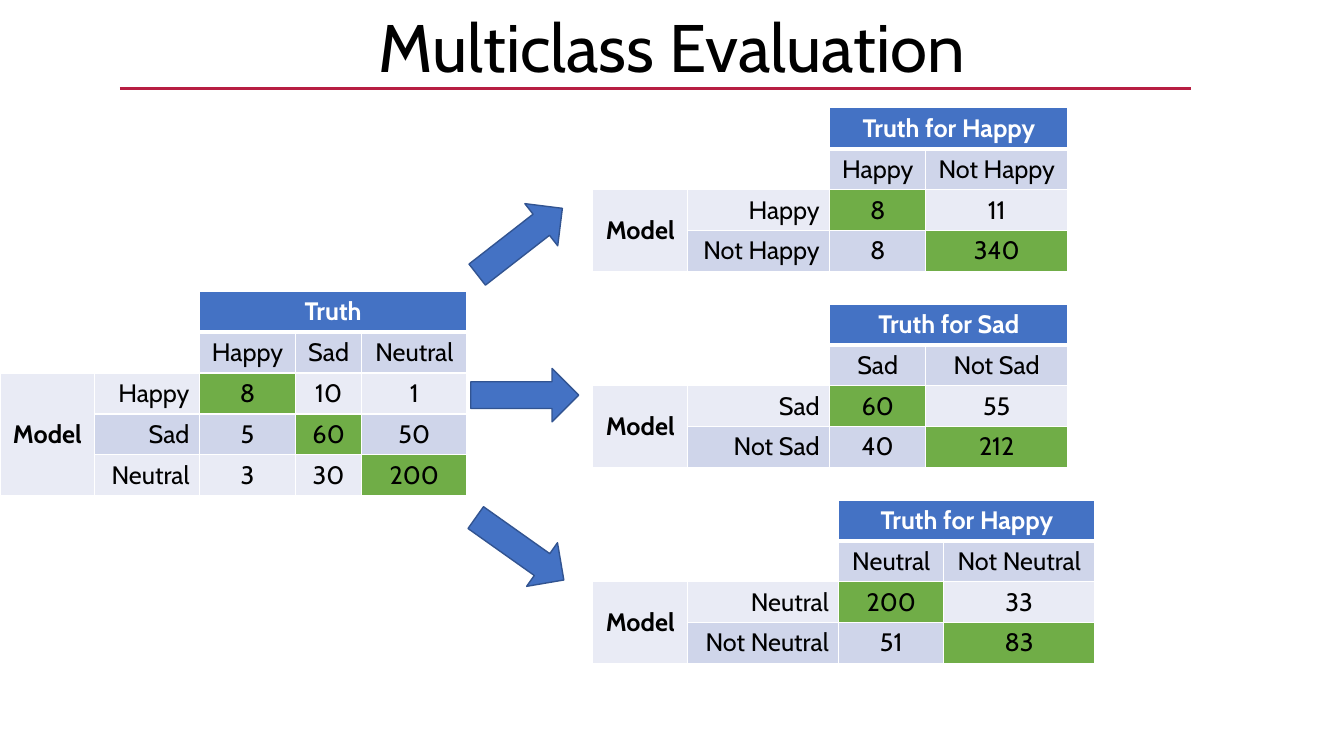
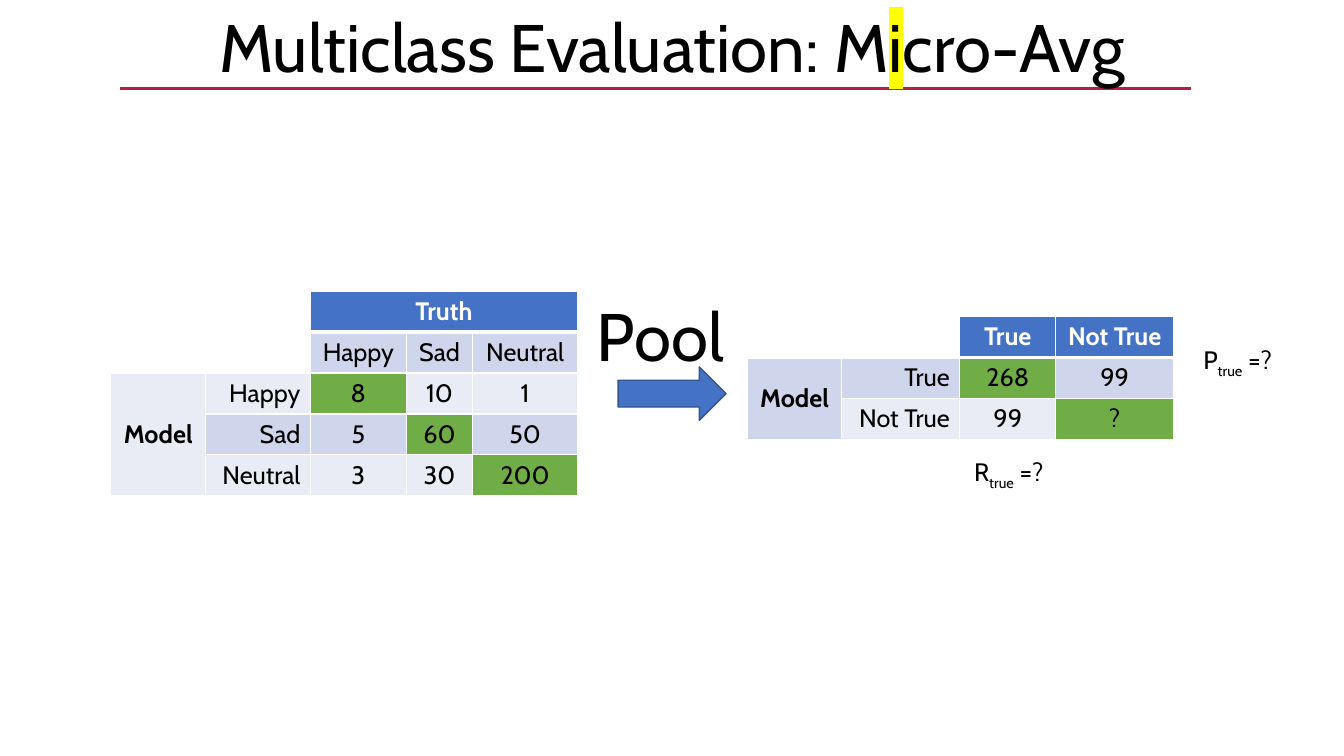
from dataclasses import dataclass

from pptx import Presentation
from pptx.dml.color import RGBColor
from pptx.enum.shapes import MSO_CONNECTOR, MSO_SHAPE
from pptx.enum.text import MSO_ANCHOR, PP_ALIGN
from pptx.oxml import parse_xml
from pptx.oxml.ns import nsdecls, qn
from pptx.slide import Slide
from pptx.text.text import Font, TextFrame, _Paragraph as Para
from pptx.util import Inches, Pt

# Shared style
WIDE, HIGH = 13.33, 7.5
FACE, BIG, BODY = "Cabin", 48, 18
BLACK, WHITE, RED = "000000", "FFFFFF", "B71E42"
BLUE, EDGE, GREEN = "4472C4", "325491", "70AD47"
BANDS = ("E9EBF5", "CFD5EA")
MARK = "FFFF00"

# Shares of the slide, in percent
ROW = 5.41
MODEL = 7.05
TITLE = (0, 0, 100, 12.13)
ARROW = (8.03, 7.07)
NOTE = (15.83, 5.33)


@dataclass(frozen=True)
class Piece:
    text: str
    base: int = 0
    mark: str = ""


@dataclass(frozen=True)
class Matrix:
    left: float
    top: float
    cols: tuple[float, ...]
    truth: str
    names: tuple[str, ...]
    counts: tuple[tuple[str, ...], ...]


@dataclass(frozen=True)
class Arrow:
    left: float
    top: float
    turn: float = 180


def across(share: float) -> int:
    return Inches(WIDE * share / 100)


def down(share: float) -> int:
    return Inches(HIGH * share / 100)


def box(left: float, top: float, width: float, height: float) -> tuple[int, ...]:
    return across(left), down(top), across(width), down(height)


def tint(code: str) -> RGBColor:
    return RGBColor.from_string(code)


def style(font: Font, size: int, code: str = BLACK, bold: bool = False) -> None:
    font.name, font.size, font.bold = FACE, Pt(size), bold
    font.color.rgb = tint(code)


def write(para: Para, pieces: tuple[Piece, ...], size: int) -> None:
    for piece in pieces:
        run = para.add_run()
        run.text = piece.text
        style(run.font, size)
        props = run._r.get_or_add_rPr()
        if piece.base:
            props.set("baseline", str(piece.base * 1000))
        if piece.mark:
            props.find(qn("a:solidFill")).addnext(parse_xml(
                f'<a:highlight {nsdecls("a")}><a:srgbClr val="{piece.mark}"/></a:highlight>'))


def fill_frame(frame: TextFrame, pieces: tuple[Piece, ...], size: int,
               align: PP_ALIGN = PP_ALIGN.CENTER) -> None:
    frame.word_wrap = True
    frame.vertical_anchor = MSO_ANCHOR.TOP
    frame.paragraphs[0].alignment = align
    write(frame.paragraphs[0], pieces, size)


def add_head(slide: Slide, *pieces: Piece) -> None:
    title = slide.shapes.title
    title.left, title.top, title.width, title.height = box(*TITLE)
    fill_frame(title.text_frame, pieces, BIG)
    # Red rule, behind the title
    rule = slide.shapes.add_connector(
        MSO_CONNECTOR.STRAIGHT, across(8.93), down(11.73), across(88.6), down(11.73))
    rule.line.color.rgb = tint(RED)
    rule.line.width = Pt(2.5)
    rule.element.spPr.append(parse_xml(f'<a:effectLst {nsdecls("a")}/>'))
    title.element.addprevious(rule.element)


def add_text(slide: Slide, place: tuple[float, ...], pieces: tuple[Piece, ...],
             size: int, align: PP_ALIGN = PP_ALIGN.CENTER) -> None:
    fill_frame(slide.shapes.add_textbox(*box(*place)).text_frame, pieces, size, align)


def add_arrow(slide: Slide, arrow: Arrow) -> None:
    shape = slide.shapes.add_shape(
        MSO_SHAPE.LEFT_ARROW, *box(arrow.left, arrow.top, *ARROW))
    shape.rotation = arrow.turn
    shape.shadow.inherit = False
    shape.fill.solid()
    shape.fill.fore_color.rgb = tint(BLUE)
    shape.line.color.rgb = tint(EDGE)
    shape.line.width = Pt(1)


def add_edges(props, row: int) -> None:
    """Thin white edges, with a thick one under the top row."""
    thick = {"T": row == 1, "B": row == 0}
    for side in "LRTB":
        width = Pt(3 if thick.get(side) else 1)
        props.append(parse_xml(
            f'<a:ln{side} {nsdecls("a")} w="{width}"><a:solidFill>'
            f'<a:srgbClr val="{WHITE}"/></a:solidFill></a:ln{side}>'))


def add_matrix(slide: Slide, data: Matrix) -> None:
    # Wording, row by row
    size = len(data.names)
    rows = [("", "", data.truth) + ("",) * (size - 1)] if data.truth else []
    rows.append(("", "", *data.names))
    head = len(rows)
    for step, (name, line) in enumerate(zip(data.names, data.counts)):
        rows.append(("" if step else "Model", name, *line))

    # Frame and merged cells
    frame = slide.shapes.add_table(
        len(rows), size + 2, *box(data.left, data.top, sum(data.cols), ROW * len(rows)))
    table = frame.table
    for col, share in zip(table.columns, data.cols):
        col.width = across(share)
    for line in table.rows:
        line.height = down(ROW)
    if data.truth:
        table.cell(0, 2).merge(table.cell(0, size + 1))
    table.cell(head, 0).merge(table.cell(len(rows) - 1, 0))

    # Fills and text
    for row, line in enumerate(rows):
        for col, text in enumerate(line):
            cell = table.cell(row, col)
            add_edges(cell._tc.get_or_add_tcPr(), row)
            if row < head and col < 2:
                code = WHITE
            elif row == 0:
                code = BLUE
            elif row >= head and row - head == col - 2:
                code = GREEN
            else:
                code = BANDS[row % 2]
            cell.fill.solid()
            cell.fill.fore_color.rgb = tint(code)
            if not text:
                continue
            cell.text_frame.text = text
            para = cell.text_frame.paragraphs[0]
            para.alignment = PP_ALIGN.RIGHT if col == 1 else PP_ALIGN.CENTER
            style(para.runs[0].font, BODY, BLACK if row else WHITE, row == 0 or col == 0)
            if col == 0:
                cell.vertical_anchor = MSO_ANCHOR.MIDDLE


def moods(left: float) -> Matrix:
    return Matrix(left, 38.53, (MODEL, 7.8, 7.13, 4.95, 7.8), "Truth",
                  ("Happy", "Sad", "Neutral"),
                  (("8", "10", "1"), ("5", "60", "50"), ("3", "30", "200")))


def pair(left: float, top: float, yes: float, no: float, truth: str, name: str,
         *counts: str) -> Matrix:
    return Matrix(left, top, (MODEL, no, yes, no), truth, (name, f"Not {name}"),
                  (counts[:2], counts[2:]))


def split_slide(slide: Slide) -> None:
    add_head(slide, Piece("Multiclass Evaluation"))
    add_matrix(slide, moods(0))
    splits = (
        (7.13, 10.58, "Truth for Happy", "Happy", "8", "11", "8", "340"),
        (7.13, 10.58, "Truth for Sad", "Sad", "60", "55", "40", "212"),
        (7.8, 11.25, "Truth for Happy", "Neutral", "200", "33", "51", "83"),
    )
    for step, split in enumerate(splits):
        add_matrix(slide, pair(44.11, 14.27 + 25.93 * step, *split))
    for step, (left, turn) in enumerate(((34.66, 142.1), (35.03, 180), (34.66, 215.3))):
        add_arrow(slide, Arrow(left, 28.4 + 20.33 * step, turn))


def pool_slide(slide: Slide) -> None:
    add_head(slide, Piece("Multiclass Evaluation: M"), Piece("i", mark=MARK),
             Piece("cro-Avg"))
    add_matrix(slide, moods(8.25))
    add_arrow(slide, Arrow(45.99, 48.53))
    add_matrix(slide, pair(55.59, 41.87, 7.13, 8.78, "", "True", "268", "99", "99", "?"))
    for sign, left, top in (("P", 84.17, 44.93), ("R", 67.14, 59.73)):
        add_text(slide, (left, top, *NOTE),
                 (Piece(sign), Piece("true", base=-25), Piece(" =?")), BODY)
    add_text(slide, (43.66, 38.27, 16.2, 12.13), (Piece("Pool"),), BIG, PP_ALIGN.LEFT)


def main() -> None:
    deck = Presentation()
    deck.slide_width, deck.slide_height = Inches(WIDE), Inches(HIGH)
    plain = deck.slide_layouts[5]
    for draw in (split_slide, pool_slide):
        draw(deck.slides.add_slide(plain))
    deck.save("out.pptx")


if __name__ == "__main__":
    main()
